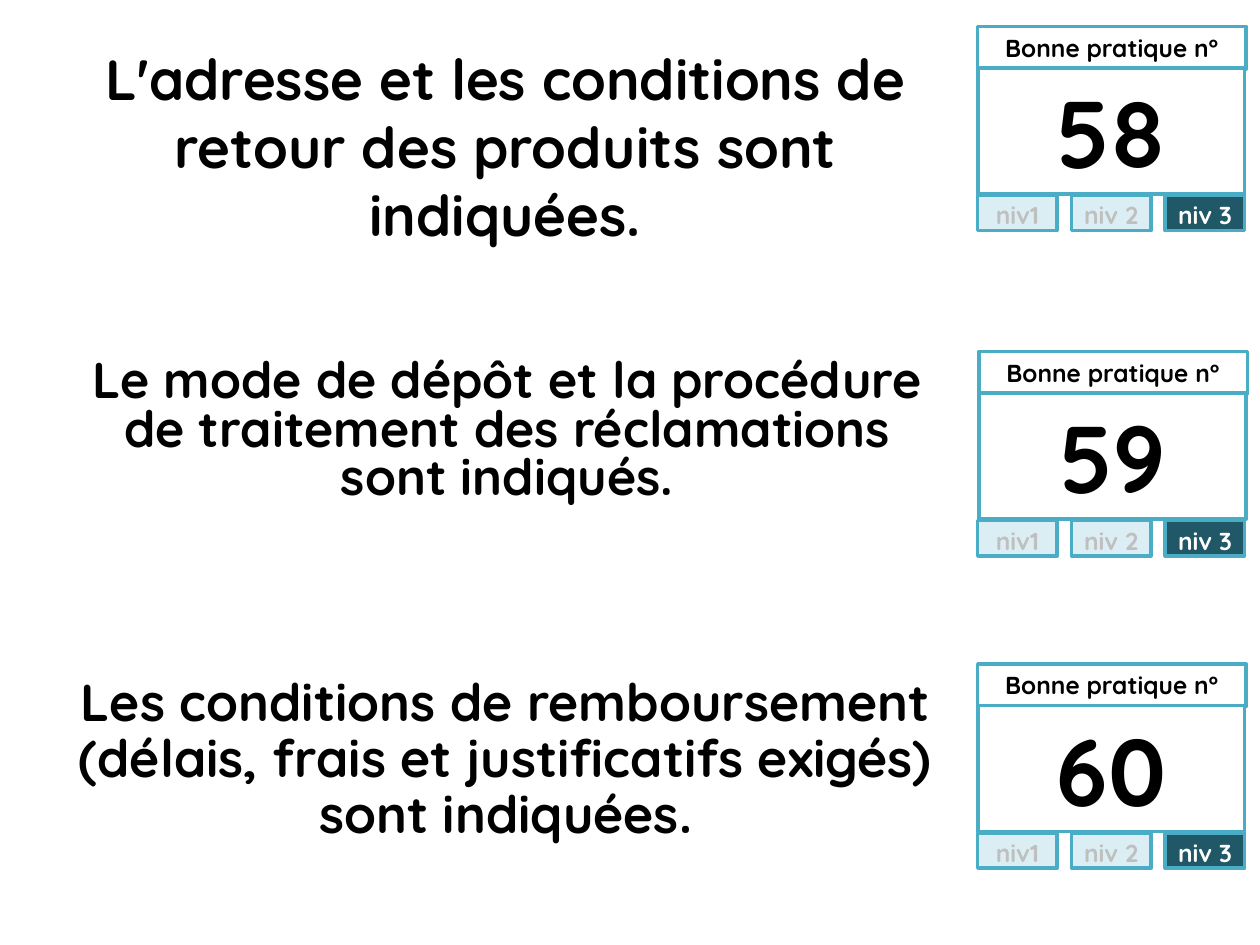
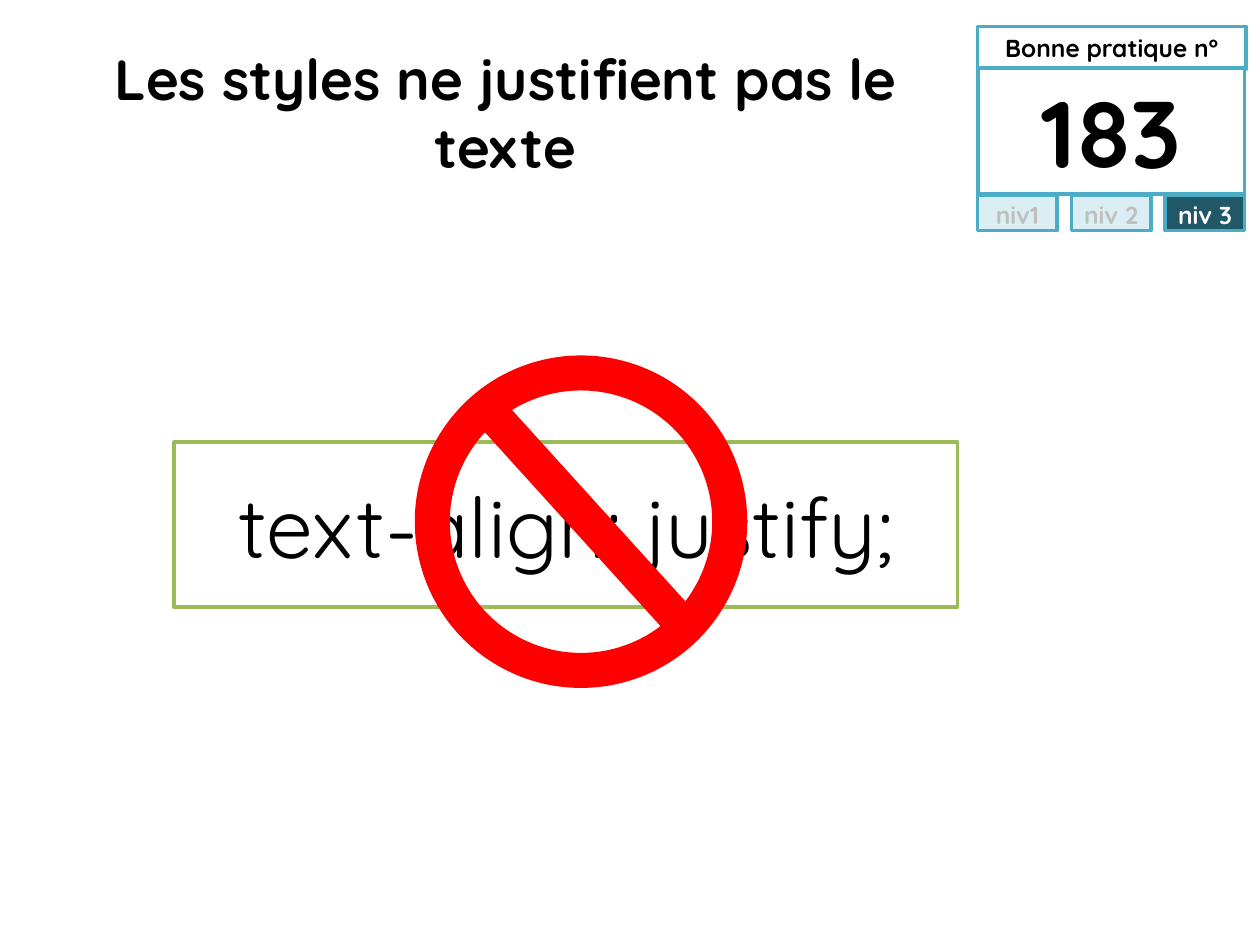
from pptx import Presentation
from pptx.dml.color import RGBColor
from pptx.enum.shapes import MSO_CONNECTOR, MSO_SHAPE
from pptx.enum.text import MSO_ANCHOR, PP_ALIGN
from pptx.oxml.ns import qn
from pptx.util import Pt
from lxml.etree import SubElement

# Content: number, statement, card corner, statement box, size, line spacing
SLIDES = [
    [
        ("58", "L'adresse et les conditions de retour des produits sont indiquées.",
         (558.7, 15.1), (36, 21.6, 505.4, 90), 32.4, 1),
        ("59", "Le mode de dépôt et la procédure de traitement des réclamations sont indiqués.",
         (559.4, 200.9), (37.4, 202.3, 504.7, 130.3), 28.8, 0.8),
        ("60", "Les conditions de remboursement (délais, frais et justificatifs exigés) sont indiquées.",
         (558.7, 379.4), (36.7, 383, 504.7, 108), 29.7, 0.9),
    ],
    [
        ("183", "Les styles ne justifient pas le texte",
         (558.7, 15.1), (36, 21.6, 505.4, 90), 32.4, 1),
    ],
]
CARD_LABEL = "Bonne pratique n°"
LEVELS = ["niv1", "niv 2", "niv 3"]
ACTIVE_LEVEL = "niv 3"
FORBIDDEN_CODE = "text-align: justify;"

# Shared style
FONT = "Quicksand"
COLORS = {"text": "000000", "paper": "FFFFFF", "border": "4BACC6", "level": "DAEEF3",
          "level_text": "BFBFBF", "active": "205867", "code": "9BBB59", "ban": "FF0000"}
LEVEL_LEFT, LEVEL_PITCH = 558.7, 53.6


def rgb(name):
    return RGBColor.from_string(COLORS[name])


def write(sp, text, size, color="text", bold=True, anchor=MSO_ANCHOR.TOP,
          inset=(7.2, 3.6), spacing=1):
    tf = sp.text_frame
    tf.word_wrap = True
    tf.vertical_anchor = anchor
    tf.margin_left = tf.margin_right = Pt(inset[0])
    tf.margin_top = tf.margin_bottom = Pt(inset[1])
    p = tf.paragraphs[0]
    p.text = text
    p.alignment = PP_ALIGN.CENTER
    p.line_spacing = spacing
    p.font.name, p.font.size, p.font.bold = FONT, Pt(size), bold
    p.font.color.rgb = rgb(color)


def add_box(s, box, text, size, fill="paper", line="border", **style):
    sp = s.shapes.add_shape(MSO_SHAPE.RECTANGLE, *map(Pt, box))
    sp.shadow.inherit = False
    sp.fill.solid()
    sp.fill.fore_color.rgb = rgb(fill)
    sp.line.color.rgb = rgb(line)
    sp.line.width = Pt(2)
    write(sp, text, size, **style)


def add_card(s, number, left, top):
    add_box(s, (left, top, 153.4, 24.5), CARD_LABEL, 14)
    add_box(s, (left, top + 23.8, 152.6, 72), number, 54, anchor=MSO_ANCHOR.MIDDLE)
    for i, level in enumerate(LEVELS):
        active = level == ACTIVE_LEVEL
        add_box(s, (LEVEL_LEFT + i * LEVEL_PITCH, top + 96.5, 45.4, 20.2), level, 14,
                fill="active" if active else "level",
                color="paper" if active else "level_text", inset=(2.9, 2.9))


def add_statement(s, text, box, size, spacing):
    write(s.shapes.add_textbox(*map(Pt, box)), text, size, spacing=spacing)


def add_ban_sign(s):
    sign = s.shapes.add_group_shape().shapes
    ring = sign.add_shape(MSO_SHAPE.OVAL, Pt(247), Pt(213.1), Pt(170), Pt(170))
    ring.shadow.inherit = False
    ring.fill.background()
    bar = sign.add_connector(MSO_CONNECTOR.STRAIGHT, Pt(280.8), Pt(236.2), Pt(391.7), Pt(358.6))
    SubElement(bar.line._get_or_add_ln().getparent(), qn("a:effectLst"))
    for sp in (ring, bar):
        sp.line.color.rgb = rgb("ban")
        sp.line.width = Pt(20)


def main():
    prs = Presentation()
    prs.slide_width, prs.slide_height = Pt(720), Pt(540)
    for practices in SLIDES:
        s = prs.slides.add_slide(prs.slide_layouts[6])
        for number, statement, corner, box, size, spacing in practices:
            add_statement(s, statement, box, size, spacing)
            add_card(s, number, *corner)

    # Struck-out code on the last slide
    add_box(s, (99.4, 252.7, 447.8, 94.3), FORBIDDEN_CODE, 48, line="code",
            bold=False, anchor=MSO_ANCHOR.MIDDLE)
    add_ban_sign(s)
    prs.save("out.pptx")


if __name__ == "__main__":
    main()
